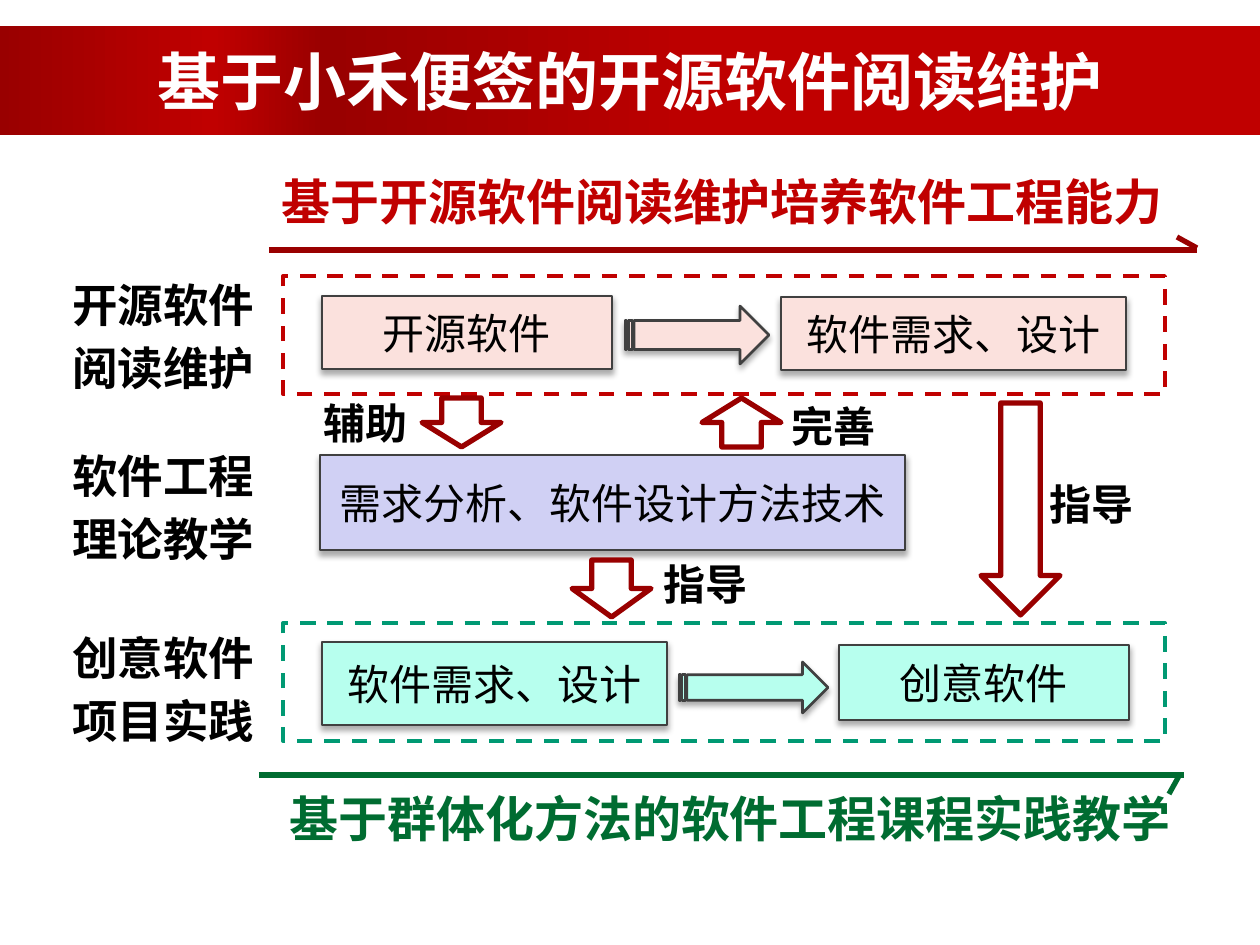
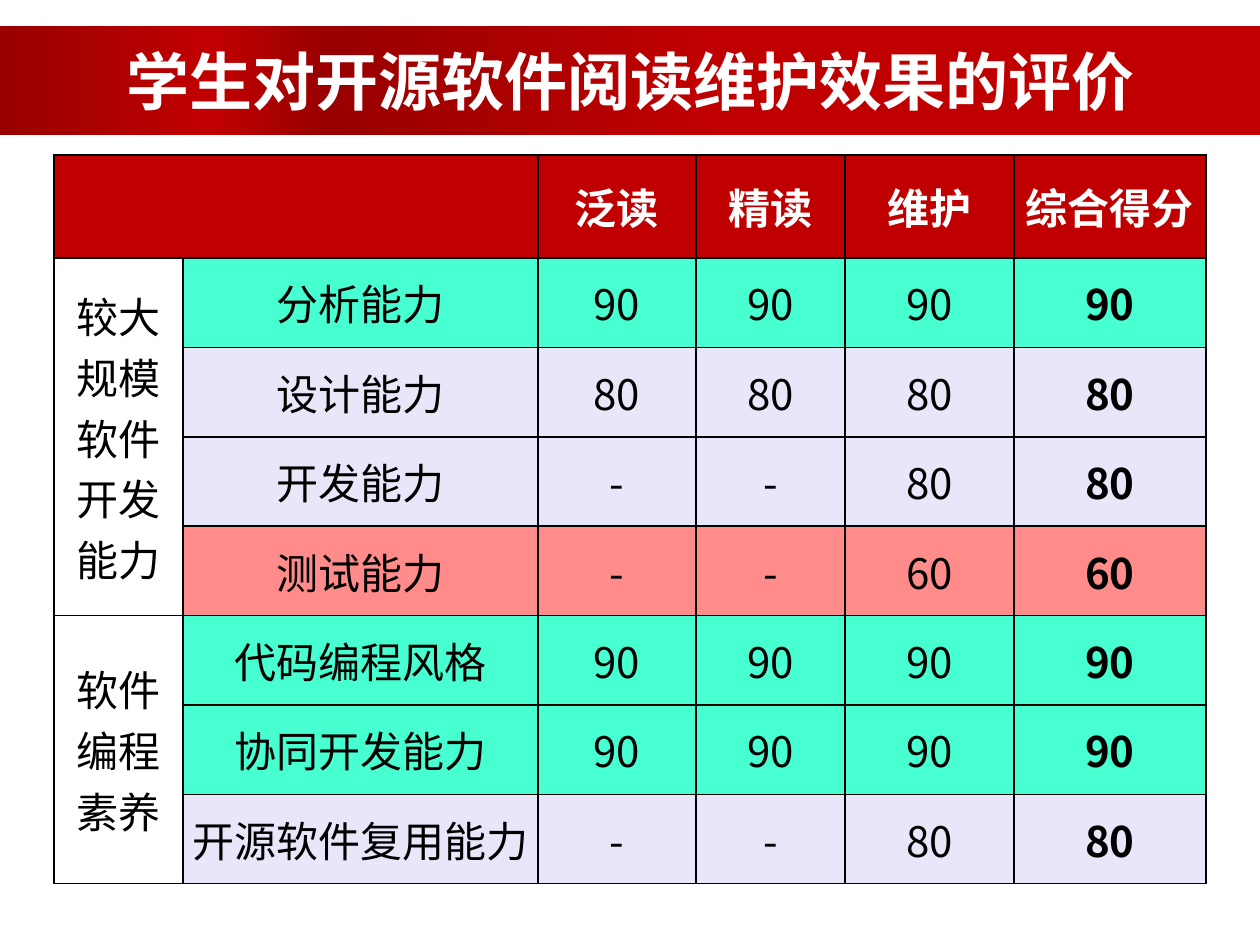
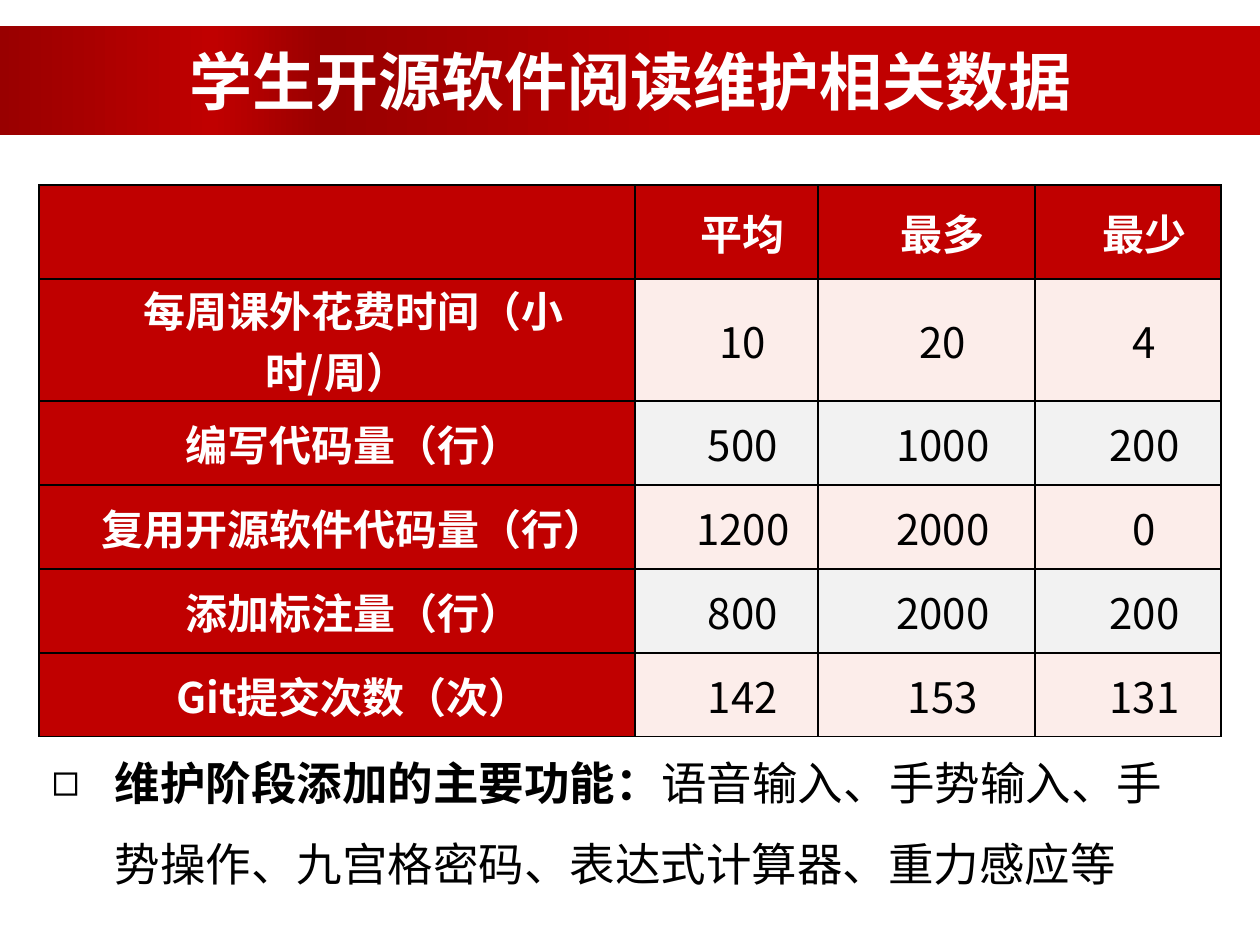
from lxml.etree import SubElement
from pptx import Presentation
from pptx.dml.color import RGBColor
from pptx.enum.dml import MSO_LINE
from pptx.enum.shapes import MSO_CONNECTOR, MSO_SHAPE
from pptx.enum.text import MSO_ANCHOR, MSO_AUTO_SIZE, PP_ALIGN
from pptx.oxml.ns import qn
from pptx.util import Emu, Pt

RECT = MSO_SHAPE.RECTANGLE
DOWN = MSO_SHAPE.DOWN_ARROW
STRIPED = MSO_SHAPE.STRIPED_RIGHT_ARROW
STRAIGHT = MSO_CONNECTOR.STRAIGHT
DASH = MSO_LINE.DASH
MIDDLE = MSO_ANCHOR.MIDDLE
NO_FIT = MSO_AUTO_SIZE.NONE
LEFT, CENTER = PP_ALIGN.LEFT, PP_ALIGN.CENTER

FONT = "Noto Sans CJK SC"
COLORS = {
    "red": "C00000", "dark": "990000", "green": "006C31", "teal": "009973",
    "pink": "FBE1DD", "lilac": "D0D0F4", "mint": "B7FFEE", "edge": "404040",
    "good": "47FFD1", "fair": "E7E7F9", "weak": "FF8B8B",
    "blush": "FCEDEA", "grey": "F2F2F2", "white": "FFFFFF", "black": "000000",
}
BAND = [(0, "red"), (15, "red"), (42, "red"), (74, "dark"), (83, "red"), (100, "dark")]
TITLE_ONLY, TITLE_BODY = 5, 1


def px(n):
    return Emu(round(n * 914400 / 126))


def box(*sides):
    return [px(n) for n in sides]


def rgb(name):
    return RGBColor.from_string(COLORS[name])


def add_run(para, text, size, color="black", bold=False, font=FONT):
    run = para.add_run()
    run.text = text
    face = run.font
    face.size, face.bold, face.name = Pt(size), bold, font
    face.color.rgb = rgb(color)
    SubElement(run._r.get_or_add_rPr(), qn("a:ea"), typeface=FONT)


def place(shape, *sides):
    shape.left, shape.top, shape.width, shape.height = box(*sides)


def paint(shape, fill, line, width, dash=None):
    shape.shadow.inherit = False
    if fill:
        shape.fill.solid()
        shape.fill.fore_color.rgb = rgb(fill)
    else:
        shape.fill.background()
    shape.line.color.rgb = rgb(line)
    shape.line.width = Pt(width)
    if dash:
        shape.line.dash_style = dash


def add_color(parent, name):
    return SubElement(parent, qn("a:srgbClr"), val=COLORS[name])


def cast(shape):
    """Give the shape a soft shadow straight below it."""
    glow = SubElement(shape.element.spPr.find(qn("a:effectLst")), qn("a:outerShdw"),
                      blurRad=str(Pt(3.5)), dist=str(Pt(2.2)), dir="5400000", rotWithShape="0")
    SubElement(add_color(glow, "black"), qn("a:alpha"), val="32000")


def add_band(slide):
    band = slide.shapes.add_shape(RECT, *box(-2, 26, 1262, 109))
    band.shadow.inherit = False
    band.line.fill.background()
    band.fill.gradient()
    band.fill.gradient_angle = 180
    stops = band.element.spPr.find(qn("a:gradFill")).find(qn("a:gsLst"))
    stops.clear()
    for pos, name in BAND:
        add_color(SubElement(stops, qn("a:gs"), pos=str(pos * 1000)), name)
    slide.shapes.title.element.addprevious(band.element)


def add_slide(deck, layout, text):
    slide = deck.slides.add_slide(deck.slide_layouts[layout])
    title = slide.shapes.title
    place(title, 63, 26, 1134, 109)
    frame = title.text_frame
    frame.auto_size, frame.vertical_anchor = NO_FIT, MIDDLE
    para = frame.paragraphs[0]
    para.alignment = CENTER
    add_run(para, text, 36, "white", True, "Arial")
    add_band(slide)
    return slide


def add_label(slide, sides, text, size, color="black", align=CENTER, pitch=None):
    frame = slide.shapes.add_textbox(*box(*sides)).text_frame
    frame.word_wrap = True
    para = frame.paragraphs[0]
    para.alignment = align
    if pitch:
        para.line_spacing = Pt(pitch)
    add_run(para, text, size, color, True)


def add_block(slide, kind, sides, fill, text=""):
    """Add a filled shape with a grey edge, a shadow and centred text."""
    block = slide.shapes.add_shape(kind, *box(*sides))
    paint(block, fill, "edge", 1.5)
    cast(block)
    if text:
        frame = block.text_frame
        frame.word_wrap, frame.vertical_anchor = True, MIDDLE
        para = frame.paragraphs[0]
        para.alignment = CENTER
        add_run(para, text, 24)


def add_frame(slide, top, color):
    frame = slide.shapes.add_shape(RECT, *box(283, top, 882, 118))
    paint(frame, None, color, 2.25, DASH)


def add_arrow(slide, left, top, height, turn=0):
    arrow = slide.shapes.add_shape(DOWN, *box(left, top, 79, height))
    paint(arrow, None, "dark", 3)
    arrow.rotation = turn


def add_line(slide, ends, color):
    line = slide.shapes.add_connector(STRAIGHT, *box(*ends))
    line.line.color.rgb = rgb(color)
    line.line.width = Pt(3)
    SubElement(line.element.spPr, qn("a:effectLst"))


def set_cell(cell, text, fill, color, bold, indent):
    cell.margin_left = cell.margin_right = px(9)
    cell.margin_top = cell.margin_bottom = 0
    cell.vertical_anchor = MIDDLE
    props = cell._tc.get_or_add_tcPr()
    for side in ("lnL", "lnR", "lnT", "lnB"):
        edge = SubElement(props, qn("a:" + side), w=str(Pt(1)))
        add_color(SubElement(edge, qn("a:solidFill")), "black")
    if fill:
        cell.fill.solid()
        cell.fill.fore_color.rgb = rgb(fill)
    else:
        cell.fill.background()
    frame = cell.text_frame
    for i, part in enumerate(text.split("\n") if text else []):
        para = frame.add_paragraph() if i else frame.paragraphs[0]
        para.alignment = CENTER
        if indent:
            para._p.get_or_add_pPr().set("indent", str(px(indent)))
        add_run(para, part, 24, color, bold)


def add_grid(slide, left, top, cols, rows, data, style, indent=0):
    """Add a table; style(row, col) gives the fill, text colour and weight."""
    sides = box(left, top, sum(cols), sum(rows))
    table = slide.shapes.add_table(len(rows), len(cols), *sides).table
    table.first_row = table.horz_banding = False
    for col, width in zip(table.columns, cols):
        col.width = px(width)
    for row, height in zip(table.rows, rows):
        row.height = px(height)
    for r, line in enumerate(data):
        for c, text in enumerate(line):
            set_cell(table.cell(r, c), text, *style(r, c), indent)
    return table


def add_item(slide, sides, head, text):
    body = slide.placeholders[1]
    place(body, *sides)
    frame = body.text_frame
    frame.auto_size = NO_FIT
    para = frame.paragraphs[0]
    props = para._p.get_or_add_pPr()
    props.set("marL", str(px(63)))
    props.set("indent", str(px(-63)))
    SubElement(props, qn("a:buChar"), char="◻")
    para.line_spacing, para.space_before = 1.5, Pt(0)
    para.alignment = LEFT
    add_run(para, head, 26, bold=True)
    add_run(para, text, 26)


def draw_flow(deck):
    slide = add_slide(deck, TITLE_ONLY, "基于小禾便签的开源软件阅读维护")
    for ends, color in [
        ((269, 250, 1197, 250), "dark"), ((1177, 237, 1197, 248), "dark"),
        ((259, 775, 1184, 775), "green"), ((1179, 776, 1169, 794), "green"),
    ]:
        add_line(slide, ends, color)
    add_label(slide, (247, 165, 950, 72), "基于开源软件阅读维护培养软件工程能力", 28, "red")
    add_label(slide, (267, 782, 926, 72), "基于群体化方法的软件工程课程实践教学", 28, "green")

    for kind, sides, fill, text in [
        (RECT, (322, 296, 290, 73), "pink", "开源软件"),
        (RECT, (781, 297, 345, 73), "pink", "软件需求、设计"),
        (RECT, (320, 455, 585, 95), "lilac", "需求分析、软件设计方法技术"),
        (RECT, (839, 645, 290, 75), "mint", "创意软件"),
        (RECT, (322, 642, 345, 83), "mint", "软件需求、设计"),
        (STRIPED, (625, 306, 144, 58), "pink", ""),
        (STRIPED, (679, 662, 149, 51), "mint", ""),
    ]:
        add_block(slide, kind, sides, fill, text)

    for top, text in [(262, "开源软件阅读维护"), (433, "软件工程理论教学"),
                      (615, "创意软件项目实践")]:
        add_label(slide, (44, top, 239, 136), text, 26, pitch=36)
    add_frame(slide, 276, "red")
    add_frame(slide, 623, "teal")

    add_arrow(slide, 422, 398, 49)
    add_arrow(slide, 702, 398, 49, 180)
    add_arrow(slide, 981, 403, 212)
    add_arrow(slide, 572, 560, 57)
    for left, top, text in [(1037, 472, "指导"), (651, 552, "指导"),
                            (311, 391, "辅助"), (779, 394, "完善")]:
        add_label(slide, (left, top, 121, 63), text, 24, align=LEFT)


def draw_scores(deck):
    slide = add_slide(deck, TITLE_ONLY, "学生对开源软件阅读维护效果的评价")
    data = [
        ["", "", "泛读", "精读", "维护", "综合得分"],
        ["较大规模软件开发能力", "分析能力", "90", "90", "90", "90"],
        ["", "设计能力", "80", "80", "80", "80"],
        ["", "开发能力", "-", "-", "80", "80"],
        ["", "测试能力", "-", "-", "60", "60"],
        ["软件\n编程\n素养", "代码编程风格", "90", "90", "90", "90"],
        ["", "协同开发能力", "90", "90", "90", "90"],
        ["", "开源软件复用能力", "-", "-", "80", "80"],
    ]
    grades = {"90": "good", "80": "fair", "60": "weak"}

    def style(r, c):
        if r == 0:
            return "red", "white", True
        return grades[data[r][-1]] if c else None, "black", c == 5

    cols = [129, 355, 158, 149, 169, 192]
    rows = [103] + [626 / 7] * 7
    table = add_grid(slide, 54, 155, cols, rows, data, style)
    for first, last in [((0, 0), (0, 1)), ((1, 0), (4, 0)), ((5, 0), (7, 0))]:
        table.cell(*first).merge(table.cell(*last))


def draw_data(deck):
    slide = add_slide(deck, TITLE_BODY, "学生开源软件阅读维护相关数据")
    data = [
        ["", "平均", "最多", "最少"],
        ["每周课外花费时间（小时/周）", "10", "20", "4"],
        ["编写代码量（行）", "500", "1000", "200"],
        ["复用开源软件代码量（行）", "1200", "2000", "0"],
        ["添加标注量（行）", "800", "2000", "200"],
        ["Git提交次数（次）", "142", "153", "131"],
    ]

    def style(r, c):
        if r == 0 or c == 0:
            return "red", "white", True
        return "blush" if r % 2 else "grey", "black", False

    add_grid(slide, 39, 185, [596, 183, 217, 186], [94] + [84] * 5, data, style, 33)
    add_item(slide, (39, 721, 1158, 169), "维护阶段添加的主要功能：",
             "语音输入、手势输入、手势操作、九宫格密码、表达式计算器、重力感应等")


def main():
    deck = Presentation()
    deck.slide_width, deck.slide_height = px(1260), px(945)
    draw_flow(deck)
    draw_scores(deck)
    draw_data(deck)
    deck.save("out.pptx")


if __name__ == "__main__":
    main()
